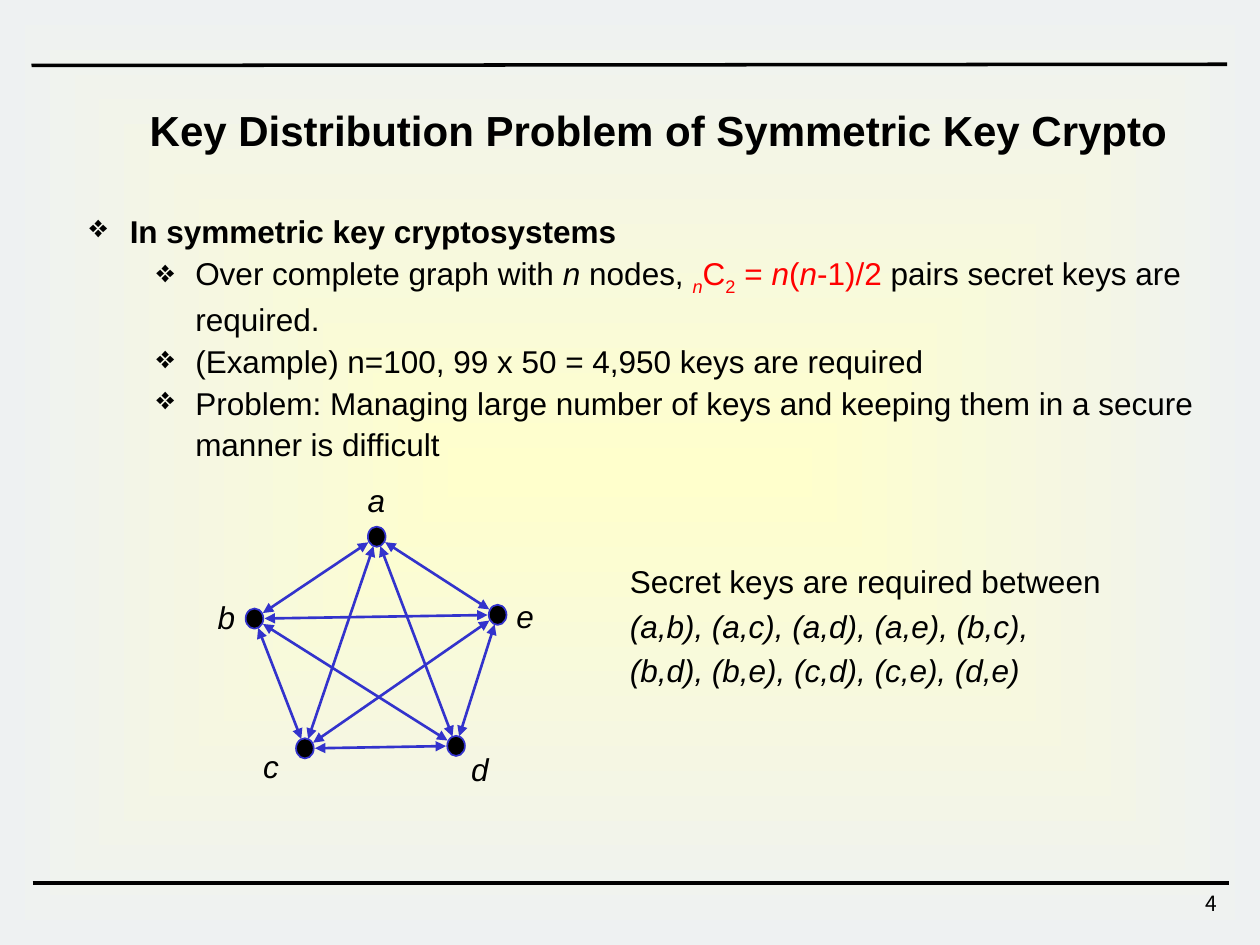
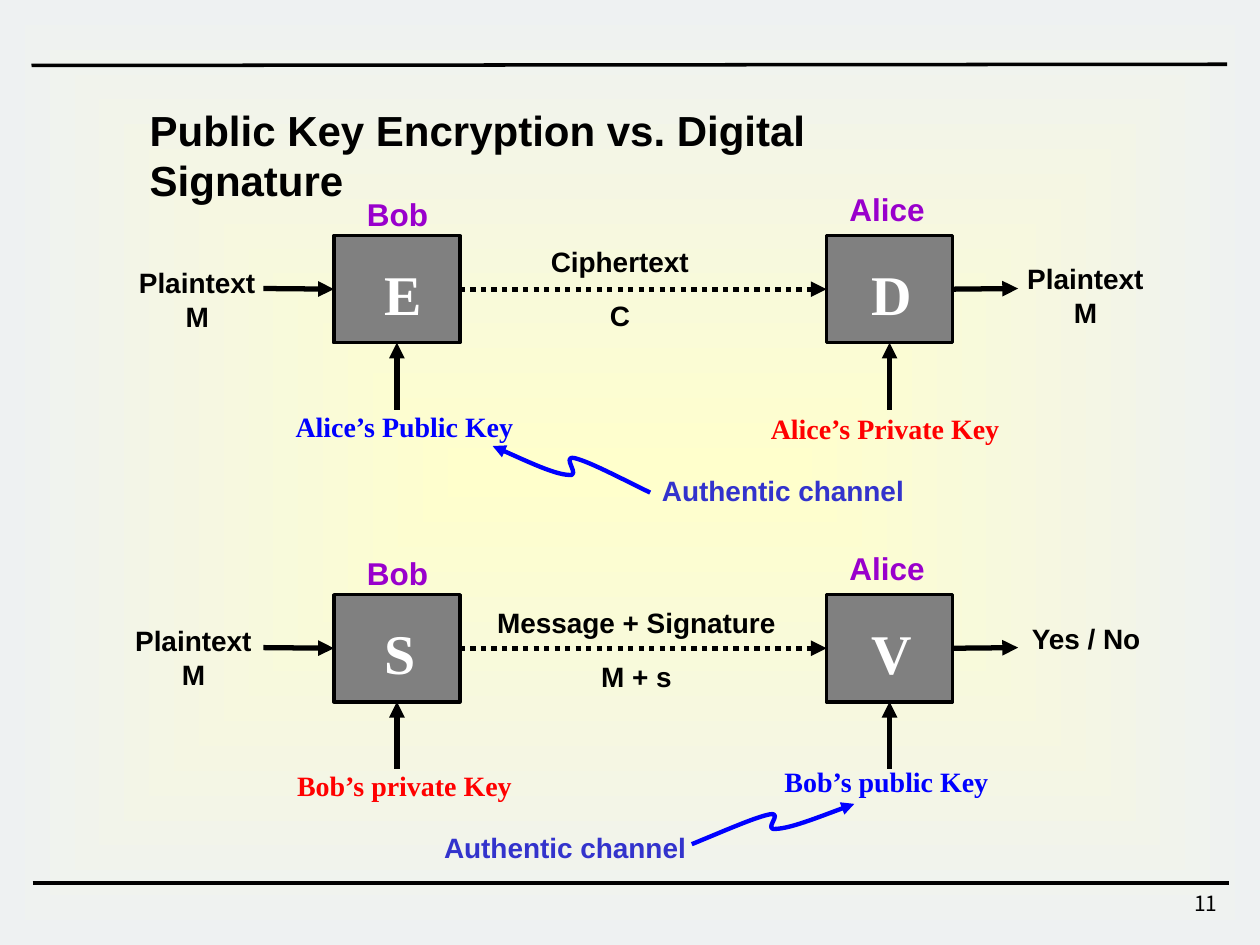
from itertools import combinations
from math import hypot

from lxml import etree
from pptx import Presentation
from pptx.dml.color import RGBColor
from pptx.enum.dml import MSO_LINE
from pptx.enum.shapes import MSO_CONNECTOR, MSO_SHAPE
from pptx.enum.text import MSO_ANCHOR, PP_ALIGN
from pptx.oxml.ns import qn
from pptx.util import Inches, Pt

STRAIGHT = MSO_CONNECTOR.STRAIGHT
RECTANGLE, NODE = MSO_SHAPE.RECTANGLE, MSO_SHAPE.FLOWCHART_CONNECTOR
LEFT, CENTER, RIGHT = PP_ALIGN.LEFT, PP_ALIGN.CENTER, PP_ALIGN.RIGHT
TOP = MSO_ANCHOR.TOP
DOTTED = MSO_LINE.ROUND_DOT
TOP_SIDE, LEFT_SIDE, BOTTOM_SIDE, RIGHT_SIDE = range(4)

SANS, SERIF, NUMBER_FONT = "Arial", "Times New Roman", "Noto Sans CJK KR"
COLORS = {
    "text": "000000",
    "center": "FFFFCC",
    "edge": "EEF1F2",
    "accent": "3333CC",
    "red": "FF0000",
    "blue": "0000FF",
    "person": "9900CC",
    "box": "808080",
    "white": "FFFFFF",
}
# Wavy arrow as Bezier points in a unit box, starting at its head
WAVE = [(0, 0), (0.2, 0.3), (0.39, 0.6), (0.48, 0.62), (0.57, 0.67),
        (0.43, 0.2), (0.52, 0.26), (0.61, 0.33), (0.8, 0.67), (1, 1)]


def rgb(name):
    return RGBColor.from_string(COLORS[name])


# ---- Shared helpers ----
def add_run(paragraph, text, size, color, font, bold, flags=""):
    """Flags: i italic, r red, s subscript."""
    run = paragraph.add_run()
    run.text = text
    run.font.size = Pt(size)
    run.font.name = font
    run.font.bold = bold
    run.font.italic = "i" in flags
    run.font.color.rgb = rgb("red" if "r" in flags else color)
    if "s" in flags:
        run.font._element.set("baseline", "-25000")


def add_text(shapes, box, lines, size=18, color="text", font=SANS, bold=False,
             align=LEFT, inset=(0, 0), gap=0):
    """Each line is a list of (text, flags) runs, or a plain string."""
    text_box = shapes.add_textbox(*map(Inches, box))
    frame = text_box.text_frame
    frame.word_wrap = align != CENTER
    frame.margin_left = frame.margin_right = Inches(inset[0])
    frame.margin_top = frame.margin_bottom = Inches(inset[1])
    for index, line in enumerate(lines):
        paragraph = frame.add_paragraph() if index else frame.paragraphs[0]
        paragraph.alignment = align
        if index and gap:
            paragraph.space_before = Pt(gap)
        for text, flags in [(line, "")] if isinstance(line, str) else line:
            add_run(paragraph, text, size, color, font, bold, flags)
    return frame


def set_arrowheads(shape, *ends):
    line = shape.line._get_or_add_ln()
    for end in ends:
        etree.SubElement(line, qn(f"a:{end}"), type="triangle")


def add_line(shapes, start, end, color="text", width=2.0, dash=None, arrows=()):
    line = shapes.add_connector(STRAIGHT, *map(Inches, (*start, *end)))
    line.line.color.rgb = rgb(color)
    line.line.width = Pt(width)
    if dash:
        line.line.dash_style = dash
    set_arrowheads(line, *arrows)
    etree.SubElement(line._element.spPr, qn("a:effectLst"))
    return line


def add_block(shapes, kind, box, fill, line, width):
    block = shapes.add_shape(kind, *map(Inches, box))
    block.shadow.inherit = False
    block.fill.solid()
    block.fill.fore_color.rgb = rgb(fill)
    block.line.color.rgb = rgb(line)
    block.line.width = Pt(width)
    return block


# ---- Frame of every slide ----
def add_backdrop(slide):
    backdrop = add_block(slide.shapes, RECTANGLE, (0, 0, 10, 7.5), "edge", "edge", 1)
    backdrop.line.fill.background()
    backdrop.fill.gradient()
    for stop, name in zip(backdrop.fill.gradient_stops, ("center", "edge")):
        stop.color.rgb = rgb(name)
    gradient = backdrop._element.spPr.find(qn("a:gradFill"))
    gradient.remove(gradient.find(qn("a:lin")))
    shading = etree.SubElement(gradient, qn("a:path"))
    shading.set("path", "shape")
    etree.SubElement(shading, qn("a:fillToRect"), l="50000", t="50000", r="50000", b="50000")


def add_framed_slide(presentation, title, title_width, number):
    slide = presentation.slides.add_slide(presentation.slide_layouts[6])
    add_backdrop(slide)
    add_line(slide.shapes, (0.25, 0.52), (9.74, 0.51))
    add_line(slide.shapes, (0.26, 7.01), (9.75, 7.01))
    add_text(slide.shapes, (7.68, 7.02, 2.08, 0.33), [number], 12,
             font=NUMBER_FONT, align=RIGHT, inset=(0.1, 0.05))
    add_text(slide.shapes, (1.09, 0.78, title_width, 0.5), [title], 24,
             bold=True, inset=(0.1, 0.05))
    return slide


# ---- Key distribution slide ----
def add_bullets(slide, box, heading, points):
    frame = add_text(slide.shapes, box, [heading, *points])
    for index, paragraph in enumerate(frame.paragraphs):
        paragraph.level = 1 if index else 0
        paragraph.line_spacing = 1.1
        margin, indent = (0.84, -0.31) if index else (0.32, -0.32)
        properties = paragraph._p.get_or_add_pPr()
        properties.set("marL", str(Inches(margin)))
        properties.set("indent", str(Inches(indent)))
        etree.SubElement(properties, qn("a:buChar"), char="❖")
    frame.paragraphs[0].runs[0].font.bold = True


def add_key_graph(slide, left, top):
    # Node name: center of the dot, then corner of its label
    nodes = {
        "a": ((1.36, 0.49), (1.19, 0)),
        "b": ((0.39, 1.14), (0, 0.93)),
        "c": ((0.79, 2.17), (0.36, 2.11)),
        "d": ((1.99, 2.15), (2.01, 2.13)),
        "e": ((2.32, 1.11), (2.37, 0.92)),
    }
    shapes = slide.shapes.add_group_shape().shapes
    for name, ((x, y), (label_x, label_y)) in nodes.items():
        add_block(shapes, NODE, (left + x - 0.07, top + y - 0.08, 0.14, 0.16),
                  "text", "accent", 1)
        add_text(shapes, (left + label_x, top + label_y, 0.34, 0.4),
                 [[(name, "i")]], inset=(0.1, 0.05))
    # One two-way arrow for each pair, stopping short of the centers
    centers = [center for center, _ in nodes.values()]
    for (x1, y1), (x2, y2) in combinations(centers, 2):
        length = hypot(x2 - x1, y2 - y1)
        dx, dy = 0.08 * (x2 - x1) / length, 0.08 * (y2 - y1) / length
        add_line(shapes, (left + x1 + dx, top + y1 + dy), (left + x2 - dx, top + y2 - dy),
                 "accent", 1.5, arrows=("headEnd", "tailEnd"))


def build_key_distribution(presentation):
    slide = add_framed_slide(
        presentation, "Key Distribution Problem of Symmetric Key Crypto", 8.4, "4")
    add_bullets(slide, (0.71, 1.65, 8.78, 2), "In symmetric key cryptosystems", [
        [("Over complete graph with ", ""), ("n", "i"), (" nodes, ", ""),
         ("n", "irs"), ("C", "r"), ("2", "rs"), (" = ", "r"), ("n", "ir"),
         ("(", "r"), ("n", "ir"), ("-1)/2", "r"),
         (" pairs secret keys are required.", "")],
        "(Example) n=100, 99 x 50 = 4,950 keys are required",
        "Problem: Managing large number of keys and keeping them in a secure "
        "manner is difficult",
    ])
    add_key_graph(slide, 1.63, 3.77)
    add_text(slide.shapes, (4.9, 4.41, 3.98, 1.13), [
        "Secret keys are required between",
        [("(a,b), (a,c), (a,d), (a,e), (b,c),", "i")],
        [("(b,d), (b,e), (c,d), (c,e), (d,e)", "i")],
    ], inset=(0.1, 0.05), gap=4)


# ---- Encryption and signature slide ----
def add_operation(slide, left, top, letter, letter_left):
    operation = add_block(slide.shapes, RECTANGLE, (left, top, 1, 0.85), "box", "text", 2)
    frame = operation.text_frame
    frame.vertical_anchor = TOP
    frame.margin_left, frame.margin_top = Inches(letter_left), Inches(0.19)
    frame.margin_right = frame.margin_bottom = 0
    paragraph = frame.paragraphs[0]
    paragraph.alignment = LEFT
    add_run(paragraph, letter, 32, "white", SERIF, True)
    return operation


def add_wave(slide, box, mirrored=False):
    left, top, width, height = box
    points = [(Inches(left + width * (1 - x if mirrored else x)), Inches(top + height * y))
              for x, y in WAVE]
    builder = slide.shapes.build_freeform(*points[0])
    builder.add_line_segments(points[1:], close=False)
    wave = builder.convert_to_shape()
    wave.shadow.inherit = False
    wave.fill.background()
    wave.line.color.rgb = rgb("blue")
    wave.line.width = Pt(2.5)
    set_arrowheads(wave, "headEnd")
    # Turn each three segments into one Bezier curve
    outline = next(wave._element.iter(qn("a:path")))
    segments = outline.findall(qn("a:lnTo"))
    for start in range(0, len(segments), 3):
        curve = etree.SubElement(outline, qn("a:cubicBezTo"))
        for segment in segments[start:start + 3]:
            curve.append(segment[0])
            outline.remove(segment)


def add_exchange(slide, left, top, letters, source, message, result, keys):
    """Sender and receiver boxes; labels are (x, y, width, lines)."""
    def label(x, y, width, lines, **style):
        add_text(slide.shapes, (left + x, top + y, width, 0.27 * len(lines)), lines,
                 **{"size": 16, "bold": True, "align": CENTER, **style})

    def arrow(start, end, dash=None):
        return add_line(slide.shapes, (left + start[0], top + start[1]),
                        (left + end[0], top + end[1]), width=3, dash=dash,
                        arrows=("tailEnd",))

    sender_x, receiver_x, middle = 1.58, 5.49, 0.42
    sender = add_operation(slide, left + sender_x, top, letters[0], 0.4)
    receiver = add_operation(slide, left + receiver_x, top, letters[1], 0.36)
    label(1.84, -0.32, 0.49, ["Bob"], size=18, color="person")
    label(5.67, -0.36, 0.6, ["Alice"], size=18, color="person")

    # Flow from left to right
    arrow((1.02, middle), (sender_x, middle)).end_connect(sender, LEFT_SIDE)
    channel = arrow((sender_x + 1, middle), (receiver_x, middle), DOTTED)
    channel.begin_connect(sender, RIGHT_SIDE)
    channel.end_connect(receiver, LEFT_SIDE)
    arrow((receiver_x + 1, middle), (7.01, middle)).begin_connect(receiver, RIGHT_SIDE)
    label(*source)
    label(*message, gap=11.5)
    label(*result)

    # Keys from below
    for operation, x, (*key, color) in zip((sender, receiver), (sender_x, receiver_x), keys):
        arrow((x + 0.5, 1.38), (x + 0.5, 0.85)).end_connect(operation, BOTTOM_SIDE)
        label(*key, color=color, font=SERIF)


def build_encryption_and_signature(presentation):
    slide = add_framed_slide(
        presentation, "Public Key Encryption vs. Digital Signature", 6.9, "11")
    plaintext = ["Plaintext", "M"]
    add_exchange(slide, 1.07, 1.87, "ED",
                 (0.03, 0.24, 0.93, plaintext),
                 (3.3, 0.07, 1.1, ["Ciphertext", "C"]),
                 (7.08, 0.21, 0.93, plaintext),
                 [(1.27, 1.38, 1.74, ["Alice’s Public Key"], "blue"),
                  (5.04, 1.4, 1.83, ["Alice’s Private Key"], "red")])
    add_exchange(slide, 1.07, 4.72, "SV",
                 (0, 0.23, 0.93, plaintext),
                 (2.87, 0.09, 2.22, ["Message + Signature", "M + s"]),
                 (7.11, 0.21, 0.88, ["Yes / No"]),
                 [(1.28, 1.38, 1.72, ["Bob’s private Key"], "red"),
                  (5.15, 1.35, 1.63, ["Bob’s public Key"], "blue")])
    # Authentic channels
    add_wave(slide, (3.91, 3.54, 1.25, 0.37))
    add_wave(slide, (5.49, 6.38, 1.29, 0.32), mirrored=True)
    for left, top in ((5.25, 3.76), (3.52, 6.59)):
        add_text(slide.shapes, (left, top, 1.93, 0.27), ["Authentic channel"], 16,
                 "accent", bold=True, align=CENTER)


def main():
    presentation = Presentation()
    presentation.slide_width, presentation.slide_height = Inches(10), Inches(7.5)
    build_key_distribution(presentation)
    build_encryption_and_signature(presentation)
    presentation.save("out.pptx")


if __name__ == "__main__":
    main()
